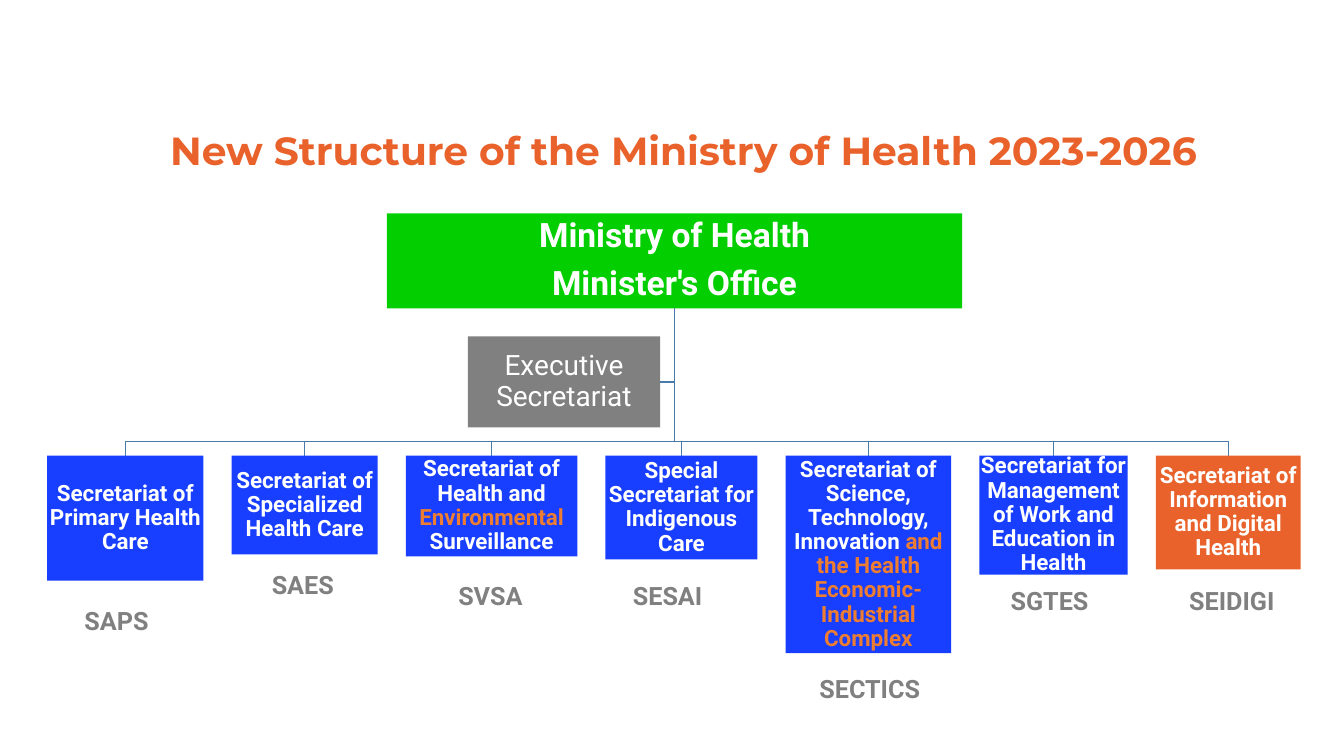
from pptx import Presentation
from pptx import util as u
from pptx.dml.color import RGBColor
from pptx.enum import shapes, text

WHITE, BLUE, ORANGE, AMBER = "FFFFFF", "183EFF", "EA622B", "ED7D31"
GREEN, GRAY, STEEL = "03CF00", "808080", "497CAB"
GAP, DROP = 0.71, 0.35

UNITS = [
    (3.94, 3.15, BLUE, ["Secretariat of Primary Health Care"],
     "SAPS", (1.88, 15.14, 2.16, 1.02)),
    (3.68, 2.49, BLUE, ["Secretariat of Specialized Health Care"],
     "SAES", (6.6, 14.22, 2.11, 1.02)),
    (4.32, 2.54, BLUE,
     ["Secretariat of Health and ", "Environmental", " Surveillance"],
     "SVSA", (11.3, 14.5, 2.16, 1.02)),
    (3.83, 2.62, BLUE, ["Special Secretariat for Indigenous Care"],
     "SESAI", (15.7, 14.5, 2.29, 1.02)),
    (4.17, 4.98, BLUE,
     ["Secretariat of Science, Technology, Innovation ",
      "and the Health Economic-Industrial Complex"],
     "SECTICS", (20.4, 16.84, 3.1, 1.02)),
    (3.74, 3.0, BLUE,
     ["Secretariat for Management of Work and Education in Health"],
     "SGTES", (25.22, 14.63, 2.49, 1.02)),
    (3.65, 2.87, ORANGE, ["Secretariat of Information and Digital Health"],
     "SEIDIGI", (29.72, 14.63, 2.69, 1.02)),
]


def color(code):
    return RGBColor.from_string(code)


def style(item, form):
    for key, value in form.items():
        setattr(item, key, value)


def write(para, parts, size, tints, bold=True, name="Roboto"):
    for i, part in enumerate(parts):
        run = para.add_run()
        run.text = part
        style(run.font, {"name": name, "size": u.Pt(size), "bold": bold})
        run.font.color.rgb = color(tints[i % len(tints)])


def block(slide, box, fill, lines, size, pad=0.03, bold=True):
    rect = slide.shapes.add_shape(shapes.MSO_SHAPE.RECTANGLE, *map(u.Cm, box))
    rect.shadow.inherit = False
    rect.fill.solid()
    rect.fill.fore_color.rgb = color(fill)
    rect.line.fill.background()
    frame = rect.text_frame
    sides = ("margin_left", "margin_right", "margin_top", "margin_bottom")
    style(frame, dict.fromkeys(sides, u.Cm(pad)))
    style(frame, {"word_wrap": True,
                  "vertical_anchor": text.MSO_ANCHOR.MIDDLE})
    for i, parts in enumerate(lines):
        para = frame.add_paragraph() if i else frame.paragraphs[0]
        style(para, {"alignment": text.PP_ALIGN.CENTER, "line_spacing": 0.9})
        if i < len(lines) - 1:
            para.space_after = u.Pt(size * 0.35)
        write(para, parts, size, [WHITE, AMBER], bold)


def label(slide, box, words, size, tint, name="Roboto", wrap=False):
    frame = slide.shapes.add_textbox(*map(u.Cm, box)).text_frame
    style(frame, {"word_wrap": wrap,
                  "auto_size": text.MSO_AUTO_SIZE.SHAPE_TO_FIT_TEXT})
    write(frame.paragraphs[0], [words], size, [tint], name=name)


def link(slide, *points):
    start, *rest = [(u.Cm(x), u.Cm(y)) for x, y in points]
    path = slide.shapes.build_freeform(*start)
    path.add_line_segments(rest, close=False)
    line = path.convert_to_shape()
    line.shadow.inherit = False
    line.fill.background()
    line.line.color.rgb = color(STEEL)
    line.line.width = u.Pt(1)


def office(slide, box, aide):
    x, y, w, h = box
    ax, ay, aw, ah = aide
    mid, foot, level = x + w / 2, y + h, ay + ah / 2
    link(slide, (mid, foot), (mid, level), (ax + aw, level))
    block(slide, box, GREEN,
          [["Ministry of Health"], ["Minister's Office"]], 24, 0.05)
    block(slide, aide, GRAY, [["Executive Secretariat"]], 20, bold=False)
    return mid, foot


def branches(slide, left, top, root):
    bus = top - DROP
    for wide, high, fill, parts, code, spot in UNITS:
        mid = left + wide / 2
        link(slide, root, (root[0], bus), (mid, bus), (mid, top))
        block(slide, (left, top, wide, high), fill, [parts], 16)
        label(slide, spot, code, 18, GRAY)
        left += wide + GAP


def main():
    deck = Presentation()
    style(deck, {"slide_width": u.Cm(33.87), "slide_height": u.Cm(19.05)})
    slide = deck.slides.add_slide(deck.slide_layouts[6])
    root = office(slide, (9.75, 5.38, 14.5, 2.39), (11.79, 8.48, 4.85, 2.29))
    branches(slide, 1.19, 11.48, root)
    label(slide, (4.04, 3.05, 31.7, 1.45),
          "New Structure of the Ministry of Health 2023-2026",
          28, ORANGE, "Montserrat", True)
    deck.save("out.pptx")


if __name__ == "__main__":
    main()
